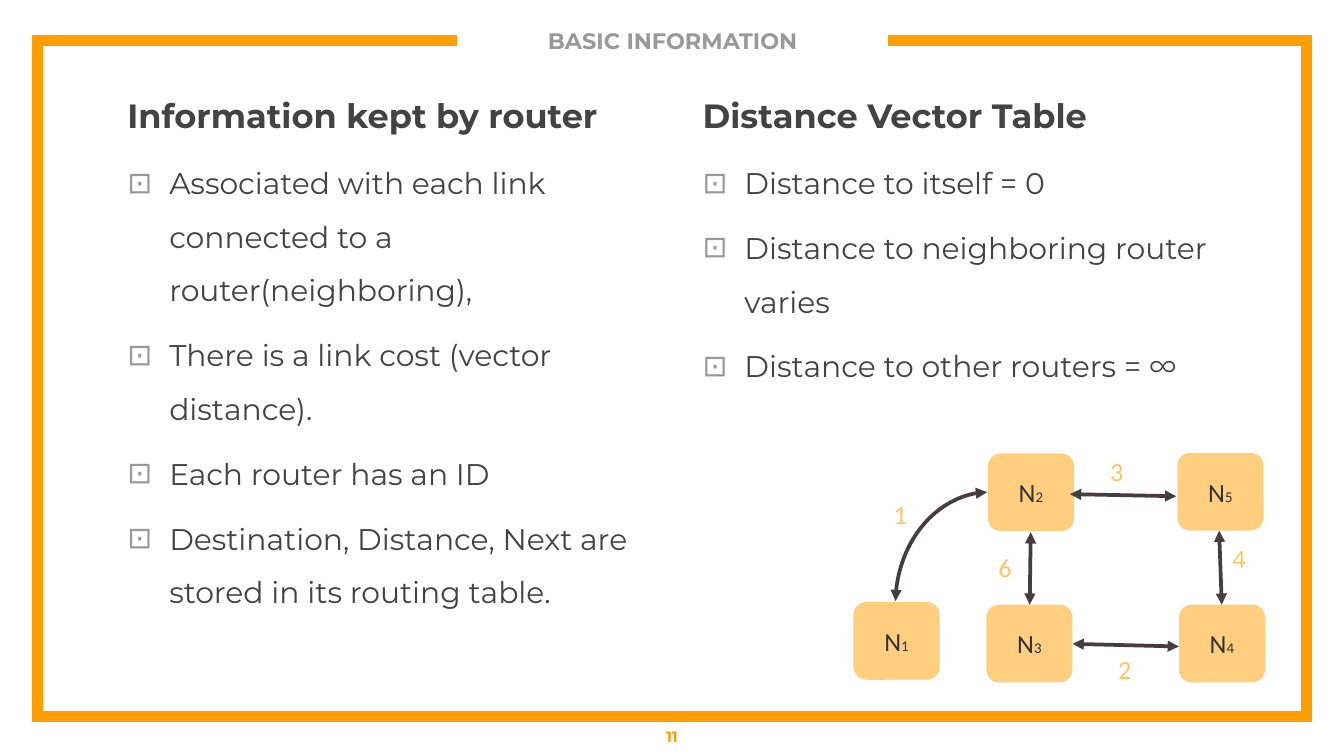
from dataclasses import dataclass

from lxml import etree
from pptx import Presentation
from pptx.dml.color import RGBColor
from pptx.enum.shapes import MSO_CONNECTOR, MSO_SHAPE
from pptx.enum.text import MSO_ANCHOR, PP_ALIGN
from pptx.oxml.ns import qn
from pptx.util import Cm, Pt

BOX = MSO_SHAPE.ROUNDED_RECTANGLE
LINE, CURVE = MSO_CONNECTOR.STRAIGHT, MSO_CONNECTOR.CURVE
TOP, MIDDLE = MSO_ANCHOR.TOP, MSO_ANCHOR.MIDDLE
LEFT, CENTER = PP_ALIGN.LEFT, PP_ALIGN.CENTER


@dataclass(frozen=True)
class Theme:
    brand: str = "FF9E00"
    pale: str = "FFC566"
    grey: str = "999999"
    ink: str = "434343"
    dark: str = "323232"
    wire: str = "443F3D"
    font: str = "Montserrat"
    plain: str = "Calibri"
    head: int = 18
    body: int = 16
    node: int = 14
    title: int = 12
    small: int = 8


THEME = Theme()


def tag(parent, name, **attrs):
    return etree.SubElement(parent, qn(name), attrs)


def write(frame, text, size, color, font=THEME.font, bold=False,
          align=LEFT, sub="", bullet="", before=0, gap=1.0):
    para = frame.paragraphs[0]
    if para.runs:
        para = frame.add_paragraph()
    para.alignment = align
    para.space_before = Pt(before)
    para.line_spacing = gap
    for part, points in ((text, size), (sub, THEME.small)):
        if part:
            run = para.add_run()
            run.text = part
            run.font.size = Pt(points)
            run.font.name = font
            run.font.bold = bold
            run.font.color.rgb = RGBColor.from_string(color)
    if bullet:
        props = para._p.get_or_add_pPr()
        props.set("marL", str(Cm(0.79)))
        props.set("indent", str(Cm(-0.79)))
        tag(tag(props, "a:buClr"), "a:srgbClr", val=THEME.grey)
        tag(props, "a:buFont", typeface=font)
        tag(props, "a:buChar", char=bullet)


class Deck:
    def __init__(self, theme, wide, high):
        self.theme = theme
        self.file = Presentation()
        self.file.slide_width, self.file.slide_height = Cm(wide), Cm(high)
        self.slide = self.file.slides.add_slide(self.file.slide_layouts[6])
        self.shapes = self.slide.shapes

    def frame(self, points):
        start, *rest = [(Cm(x), Cm(y)) for x, y in points]
        pen = self.shapes.build_freeform(*start)
        pen.add_line_segments(rest, close=False)
        shape = pen.convert_to_shape()
        shape.shadow.inherit = False
        shape.fill.background()
        shape.line.color.rgb = RGBColor.from_string(self.theme.brand)
        shape.line.width = Pt(6)
        tag(shape.line._get_or_add_ln(), "a:miter", lim="800000")

    def text(self, x, y, w, h, anchor=TOP, inset=0.25):
        frame = self.shapes.add_textbox(Cm(x), Cm(y), Cm(w), Cm(h)).text_frame
        frame.word_wrap = True
        frame.vertical_anchor = anchor
        frame.margin_left = frame.margin_right = Cm(inset)
        frame.margin_top = frame.margin_bottom = Cm(min(inset, h / 6))
        return frame

    def column(self, x, head, items):
        t = self.theme
        frame = self.text(x, 1.55, 10.06, 9.37)
        write(frame, head, t.head, t.ink, bold=True, before=6)
        for item in items:
            write(frame, item, t.body, t.ink, bullet="⊡", before=6, gap=1.5)

    def node(self, x, y, sub):
        t = self.theme
        shape = self.shapes.add_shape(BOX, Cm(x), Cm(y), Cm(1.63), Cm(1.47))
        shape.shadow.inherit = False
        shape.fill.solid()
        shape.fill.fore_color.rgb = RGBColor.from_string(t.brand)
        color = shape.fill._xPr.find(".//" + qn("a:srgbClr"))
        tag(color, "a:alpha", val="50000")
        shape.line.fill.background()
        shape.text_frame.vertical_anchor = MIDDLE
        write(shape.text_frame, "N", t.node, t.dark, t.plain,
              align=CENTER, sub=sub)

    def link(self, x1, y1, x2, y2, kind=LINE):
        wire = self.shapes.add_connector(kind, Cm(x1), Cm(y1), Cm(x2), Cm(y2))
        wire.line.color.rgb = RGBColor.from_string(self.theme.wire)
        wire.line.width = Pt(2)
        ends = wire.line._get_or_add_ln()
        tag(ends, "a:headEnd", type="triangle")
        tag(ends, "a:tailEnd", type="triangle")
        props = wire._element.spPr
        tag(props, "a:effectLst")
        if kind == CURVE:
            props.find(qn("a:xfrm")).set("rot", "5400000")
            props.find(qn("a:prstGeom")).set("prst", "curvedConnector2")

    def cost(self, x, y, text):
        t = self.theme
        frame = self.text(x, y, 0.81, 0.86)
        frame.margin_top = frame.margin_bottom = Cm(0.13)
        write(frame, text, t.node, t.pale, t.plain)


def main():
    t = THEME
    deck = Deck(t, 25.4, 14.29)
    deck.frame([(8.64, 0.76), (0.71, 0.76), (0.71, 13.54),
                (24.69, 13.54), (24.69, 0.76), (16.79, 0.76)])
    write(deck.text(9.02, 0.28, 7.39, 0.99, MIDDLE, 0), "BASIC INFORMATION",
          t.title, t.grey, bold=True, align=CENTER)
    deck.column(2.16, "Information kept by router", [
        "Associated with each link connected to a router(neighboring),",
        "There is a link cost (vector distance).",
        "Each router has an ID",
        "Destination, Distance, Next are stored in its routing table.",
    ])
    deck.column(13.03, "Distance Vector Table", [
        "Distance to itself = 0",
        "Distance to neighboring router varies",
        "Distance to other routers = ∞",
    ])
    write(deck.text(0, 13.54, 25.4, 0.76, MIDDLE), "11",
          t.small, t.brand, bold=True, align=CENTER)

    for x, y, sub in ((16.13, 11.38, "1"), (18.67, 8.57, "2"),
                      (22.25, 8.56, "5"), (18.64, 11.43, "3"),
                      (22.28, 11.43, "4")):
        deck.node(x, y, sub)

    deck.link(18.82, 11.2, 16.76, 9.47, CURVE)
    for ends in ((20.27, 12.17, 22.28, 12.22), (19.48, 10.06, 19.46, 11.43),
                 (20.22, 9.34, 22.23, 9.38), (23.04, 10.03, 23.09, 11.43)):
        deck.link(*ends)

    for x, y, text in ((20.73, 8.48, "3"), (20.88, 12.22, "2"),
                       (18.62, 10.29, "6"), (23.04, 10.13, "4"),
                       (16.64, 9.3, "1")):
        deck.cost(x, y, text)
    deck.file.save("out.pptx")


if __name__ == "__main__":
    main()
